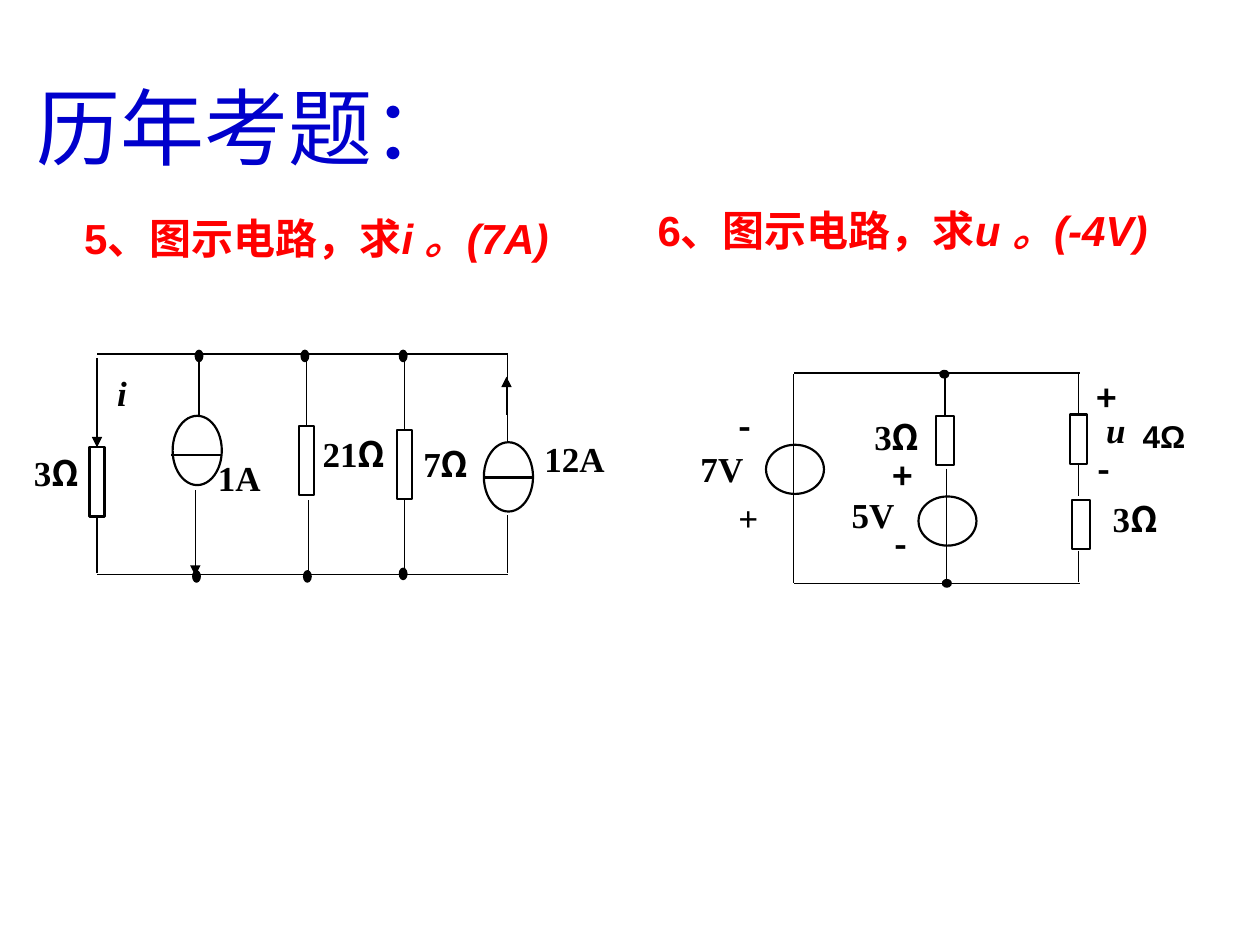
import pptx
import pptx.util
import pptx.dml.color
import pptx.enum.shapes
import pptx.enum.text
import pptx.oxml.ns
import lxml.etree

Inches, Pt = pptx.util.Inches, pptx.util.Pt
SHAPE = pptx.enum.shapes.MSO_SHAPE
ANCHOR = pptx.enum.text.MSO_ANCHOR
ALIGN = pptx.enum.text.PP_ALIGN
qn = pptx.oxml.ns.qn

THEME = {
    "title": pptx.dml.color.RGBColor(0x00, 0x00, 0xCC),
    "question": pptx.dml.color.RGBColor(0xFF, 0x00, 0x00),
    "ink": pptx.dml.color.RGBColor(0x00, 0x00, 0x00),
    "title_size": Pt(48),
    "question_size": Pt(24),
    "label_size": Pt(20),
    "small_size": Pt(18),
    "wire": Pt(0.75),
    "part": Pt(1.25),
    "serif": "Times New Roman",
    "sans": "Arial",
    "symbol": "Noto Sans CJK SC",
}


def write(frame, runs, color, size, align, frame_format):
    """Fill a text frame with (text, font name, bold, italic) runs."""
    for name, value in frame_format.items():
        setattr(frame, name, value)
    paragraph = frame.paragraphs[0]
    paragraph.alignment = align
    for text, font_name, bold, italic in runs:
        run = paragraph.add_run()
        run.text = text
        run_format = {"name": font_name, "size": size, "bold": bold, "italic": italic}
        for name, value in run_format.items():
            setattr(run.font, name, value)
        run.font.color.rgb = color
        east_asian = lxml.etree.SubElement(run.font._element, qn("a:ea"))
        east_asian.set("typeface", THEME["symbol"])


def draw(shapes, kind, box, weight, filled=False):
    """Draw an outlined part or a solid junction."""
    part = shapes.add_shape(kind, *map(Inches, box))
    part.shadow.inherit = False
    if filled:
        part.fill.solid()
        part.fill.fore_color.rgb = THEME["ink"]
    else:
        part.fill.background()
    part.line.color.rgb = THEME["ink"]
    part.line.width = weight
    return part


presentation = pptx.Presentation()
presentation.slide_width, presentation.slide_height = Inches(10), Inches(7.5)
slide = presentation.slides.add_slide(presentation.slide_layouts[5])

# Title
title = slide.shapes.title
title_box = {"left": 0.19, "top": 0.55, "width": 8.99, "height": 0.9}
for name, value in title_box.items():
    setattr(title, name, Inches(value))
write(title.text_frame, [("历年考题：", THEME["serif"], False, False)],
      THEME["title"], THEME["title_size"], ALIGN.LEFT,
      {"vertical_anchor": ANCHOR.TOP, "word_wrap": True,
       "auto_size": pptx.enum.text.MSO_AUTO_SIZE.NONE})

# Questions
questions = [
    ((0.57, 1.44, 4.07, 0.9), "5、图示电路，求", "i 。(7A)", True),
    ((5.12, 1.57, 4.41, 0.5), "6、图示电路，求", "u 。(-4V)", False),
]
for box, wording, answer, wrap in questions:
    question = slide.shapes.add_textbox(*map(Inches, box))
    write(question.text_frame,
          [(wording, THEME["sans"], True, False), (answer, THEME["sans"], True, True)],
          THEME["question"], THEME["question_size"], ALIGN.LEFT,
          {"vertical_anchor": ANCHOR.MIDDLE, "word_wrap": wrap})

# Circuits: wires are (x1, y1, x2, y2, begin joint, end joint),
# with each joint a (resistor name, side) pair
TOP, BOTTOM = 0, 2
current_circuit = {
    "resistor_size": (0.12, 0.55),
    "resistors": {"3Ω": (0.71, 3.55), "21Ω": (2.37, 3.38), "7Ω": (3.15, 3.41)},
    "source_size": (0.39, 0.55),
    "sources": [(1.37, 3.3), (3.84, 3.51)],
    "junction_size": (0.06, 0.09),
    "junctions": [(1.55, 2.78), (2.39, 2.78), (3.17, 2.78),
                  (1.53, 4.53), (2.41, 4.53), (3.17, 4.51)],
    "wires": [
        (4.03, 2.81, 0.77, 2.81, None, None),
        (4.03, 4.56, 0.77, 4.56, None, None),
        (0.77, 4.1, 0.77, 4.55, ("3Ω", BOTTOM), None),
        (1.58, 2.82, 1.58, 3.29, None, None),
        (2.43, 2.79, 2.43, 3.38, None, ("21Ω", TOP)),
        (2.45, 3.97, 2.45, 4.55, None, None),
        (3.21, 2.8, 3.21, 3.41, None, ("7Ω", TOP)),
        (3.21, 3.96, 3.21, 4.55, ("7Ω", BOTTOM), None),
        (4.03, 2.82, 4.03, 3.51, None, None),
        (4.03, 4.09, 4.03, 4.55, None, None),
    ],
    "arrows": [
        (0.77, 2.84, 0.77, 3.55, None, ("3Ω", TOP)),
        (1.55, 3.89, 1.55, 4.57, None, None),
        (4.02, 3.29, 4.02, 2.99, None, None),
    ],
    "bars": [(1.75, 3.61, 1.36, 3.61, None, None), (4.23, 3.79, 3.84, 3.79, None, None)],
    "labels": [
        ("3Ω", (0.27, 3.58, 0.43, 0.49)), ("i", (0.93, 2.95, 0.32, 0.55)),
        ("1A", (1.73, 3.62, 0.4, 0.55)), ("21Ω", (2.56, 3.43, 0.51, 0.49)),
        ("7Ω", (3.36, 3.51, 0.43, 0.49)), ("12A", (4.32, 3.47, 0.55, 0.55)),
    ],
    "signs": [],
}
voltage_circuit = {
    "resistor_size": (0.14, 0.39),
    "resistors": {"middle": (7.43, 3.3), "upper": (8.49, 3.29), "lower": (8.51, 3.97)},
    "source_size": (0.46, 0.39),
    "sources": [(6.08, 3.53), (7.29, 3.94)],
    "junction_size": (0.07, 0.06),
    "junctions": [(7.46, 2.94), (7.48, 4.6)],
    "wires": [
        (8.57, 2.96, 6.3, 2.96, None, None),
        (8.57, 4.63, 6.3, 4.63, None, None),
        (6.3, 2.97, 6.3, 4.63, None, None),
        (7.5, 2.96, 7.5, 3.3, None, ("middle", TOP)),
        (7.51, 3.72, 7.51, 4.6, None, None),
        (8.56, 2.97, 8.56, 3.29, None, ("upper", TOP)),
        (8.56, 3.68, 8.56, 3.94, ("upper", BOTTOM), None),
        (8.56, 4.37, 8.56, 4.62, None, None),
    ],
    "arrows": [],
    "bars": [],
    "labels": [
        ("7V", (5.56, 3.55, 0.47, 0.39)), ("+", (5.86, 3.94, 0.38, 0.31)),
        ("5V", (6.76, 3.92, 0.47, 0.39)), ("3Ω", (6.94, 3.3, 0.57, 0.35)),
        ("u", (8.78, 3.24, 0.47, 0.39)), ("3Ω", (8.83, 3.95, 0.57, 0.35)),
    ],
    "signs": [
        ("-", (5.86, 3.21, 0.38, 0.3)), ("+", (7.08, 3.61, 0.38, 0.31)),
        ("-", (7.1, 4.15, 0.38, 0.31)), ("+", (8.7, 2.99, 0.38, 0.31)),
        ("-", (8.71, 3.55, 0.38, 0.3)),
    ],
}
label_format = {"margin_left": 0, "margin_top": 0, "margin_right": 0,
                "margin_bottom": 0, "word_wrap": True}

for circuit in (current_circuit, voltage_circuit):
    shapes = slide.shapes.add_group_shape().shapes

    # Resistors, sources and junctions
    resistors = {name: draw(shapes, SHAPE.RECTANGLE, corner + circuit["resistor_size"],
                            THEME["part"])
                 for name, corner in circuit["resistors"].items()}
    for corner in circuit["sources"]:
        draw(shapes, SHAPE.OVAL, corner + circuit["source_size"], THEME["part"])
    for corner in circuit["junctions"]:
        draw(shapes, SHAPE.OVAL, corner + circuit["junction_size"], THEME["wire"], True)

    # Wires, current arrows and source bars
    for role, weight in (("wires", "wire"), ("arrows", "wire"), ("bars", "part")):
        for *ends, begin, end in circuit[role]:
            wire = shapes.add_connector(pptx.enum.shapes.MSO_CONNECTOR.STRAIGHT,
                                        *map(Inches, ends))
            if begin:
                wire.begin_connect(resistors[begin[0]], begin[1])
            if end:
                wire.end_connect(resistors[end[0]], end[1])
            wire.line.color.rgb = THEME["ink"]
            wire.line.width = THEME[weight]
            if role == "arrows":
                head = lxml.etree.SubElement(wire.line._get_or_add_ln(), qn("a:tailEnd"))
                head.set("type", "triangle")
            lxml.etree.SubElement(wire._element.spPr, qn("a:effectLst"))

    # Values, unknowns and polarity signs
    for role, base_font in (("labels", "serif"), ("signs", "symbol")):
        for text, box in circuit[role]:
            label = shapes.add_textbox(*map(Inches, box))
            runs = [(text.rstrip("Ω"), THEME[base_font], True, text in ("i", "u"))]
            if text.endswith("Ω"):
                runs.append(("Ω", THEME["symbol"], True, False))
            write(label.text_frame, runs, THEME["ink"], THEME["label_size"],
                  ALIGN.JUSTIFY, label_format)

# Value of the resistor across u
load_value = slide.shapes.add_textbox(*map(Inches, (8.97, 3.26, 0.54, 0.4)))
write(load_value.text_frame, [("4Ω", THEME["sans"], True, False)],
      THEME["ink"], THEME["small_size"], ALIGN.LEFT, {"word_wrap": False})

presentation.save("out.pptx")
